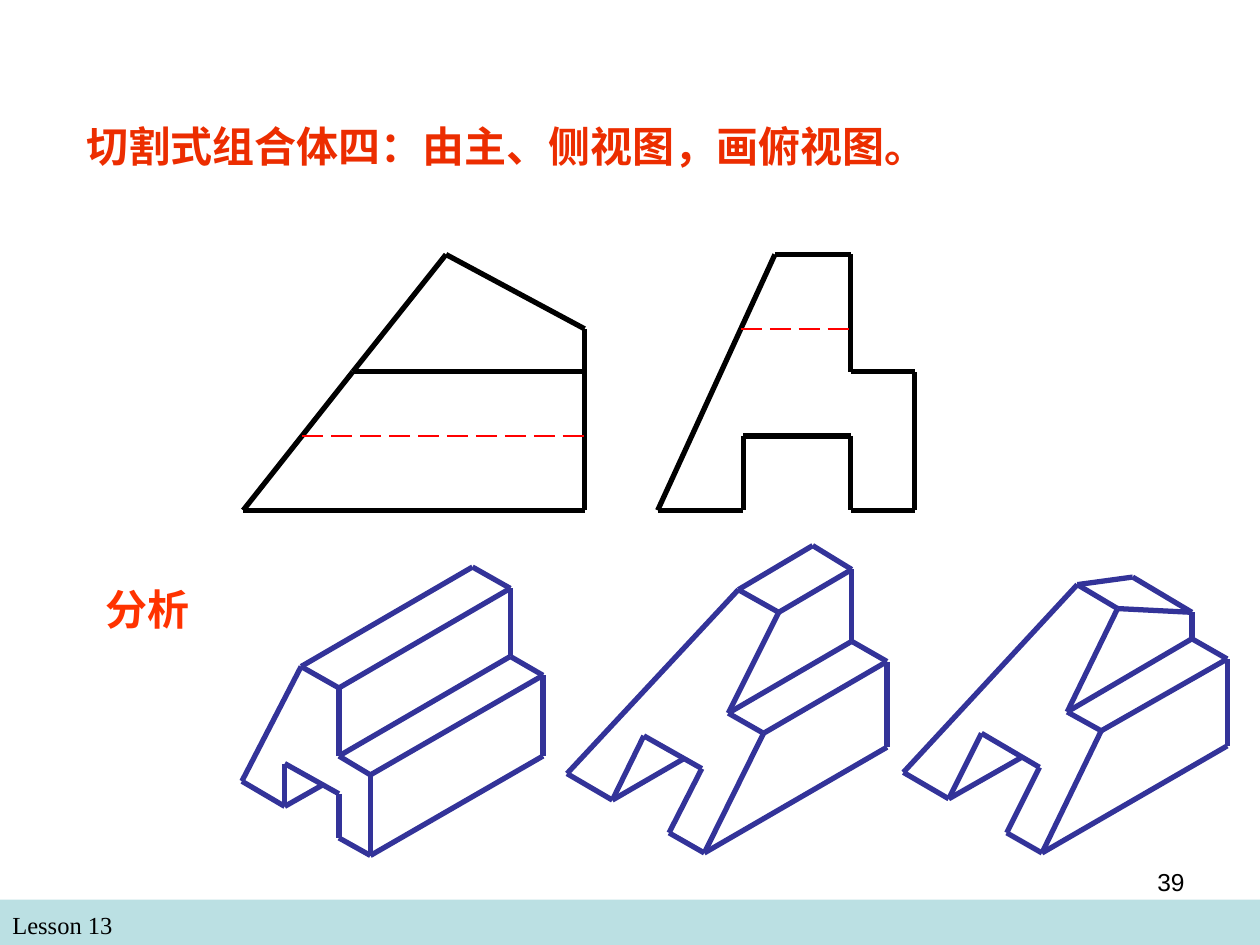
import pptx
import pptx.util
import pptx.dml.color
import pptx.enum.dml
import pptx.enum.shapes
import pptx.enum.text
import pptx.oxml

ALIGN = pptx.enum.text.PP_ALIGN
EMU_PER_PX = 9144  # 100 px to the inch


def px(length):
    return pptx.util.Emu(length * EMU_PER_PX)


def rgb(hex_color):
    return pptx.dml.color.RGBColor.from_string(hex_color)


def write_text(frame, text, size=14, font="Times New Roman", color="000000",
               bold=False, align=ALIGN.LEFT):
    paragraph = frame.paragraphs[0]
    paragraph.alignment = align
    run = paragraph.add_run()
    run.text = text
    run.font.size = pptx.util.Pt(size)
    run.font.name = font
    run.font.bold = bold
    run.font.color.rgb = rgb(color)


class Sheet:
    """Holds the drawing style and the current slide."""
    outline, hidden, solid_body = "000000", "FF0000", "333399"
    footer_fill = "BBE0E3"
    thick, thin = 3, 1.5

    def __init__(self, slide):
        self.slide = slide

    def band(self, left, top, width, height):
        band = self.slide.shapes.add_shape(
            pptx.enum.shapes.MSO_SHAPE.RECTANGLE,
            px(left), px(top), px(width), px(height))
        band.shadow.inherit = False
        band.fill.solid()
        band.fill.fore_color.rgb = rgb(self.footer_fill)
        band.line.fill.background()

    def text(self, left, top, width, height, text, **style):
        box = self.slide.shapes.add_textbox(px(left), px(top), px(width), px(height))
        box.text_frame.word_wrap = True
        write_text(box.text_frame, text, **style)

    def edge(self, group, start, end, color, width, dashed=False):
        edge = group.shapes.add_connector(
            pptx.enum.shapes.MSO_CONNECTOR.STRAIGHT,
            px(start[0]), px(start[1]), px(end[0]), px(end[1]))
        edge.line.color.rgb = rgb(color)
        edge.line.width = pptx.util.Pt(width)
        if dashed:
            edge.line.dash_style = pptx.enum.dml.MSO_LINE.LONG_DASH
        edge._element.spPr.append(pptx.oxml.parse_xml(
            '<a:effectLst xmlns:a="http://schemas.openxmlformats.org/drawingml/2006/main"/>'))

    def wireframe(self, group, points, chains, color):
        """Joins lettered points along each chain of letters."""
        vertex = dict(zip("ABCDEFGHIJKLMNOP", points))
        for chain in chains.split():
            for start, end in zip(chain, chain[1:]):
                self.edge(group, vertex[start], vertex[end], color, self.thick)

    def hidden_edge(self, group, start, end):
        self.edge(group, start, end, self.hidden, self.thin, dashed=True)


# Orthographic views
FRONT_VIEW = [(193, 405), (464, 405), (464, 295), (464, 261), (354, 202), (280, 295)]
SIDE_VIEW = [(522, 405), (590, 405), (590, 346), (675, 346), (675, 405),
             (726, 405), (726, 295), (675, 295), (675, 202), (615, 202)]

# The cutting stages share one set of edges: end face, top, right side, step, groove
BODY_EDGES = "ABCDEFGHIJA JKLI LMNOF HM GN BP"
CUTTING_STAGES = [
    # Extruded profile
    [(192, 620), (226, 640), (226, 606), (269, 630), (269, 665), (294, 679),
     (294, 615), (269, 600), (269, 546), (239, 529), (375, 450), (405, 467),
     (405, 521), (431, 536), (431, 600), (256, 623)],
    # End cut at a slant
    [(450, 614), (486, 635), (511, 584), (557, 610), (531, 661), (559, 677),
     (606, 582), (578, 566), (618, 486), (586, 468), (645, 433), (676, 452),
     (676, 509), (704, 525), (704, 593), (543, 602)],
    # Top cut at a slant
    [(717, 613), (753, 634), (779, 582), (825, 609), (799, 661), (827, 677),
     (874, 580), (847, 565), (887, 483), (855, 464), (899, 458), (946, 486),
     (946, 507), (974, 523), (974, 592), (811, 601)],
]


def main():
    deck = pptx.Presentation()
    deck.slide_width, deck.slide_height = px(1000), px(750)
    sheet = Sheet(deck.slides.add_slide(deck.slide_layouts[6]))
    shapes = sheet.slide.shapes

    # Footer
    sheet.band(0, 714, 1000, 36)
    sheet.text(0, 717, 483, 34, "Lesson 13")

    # Given views
    views = shapes.add_group_shape()
    sheet.wireframe(views, FRONT_VIEW, "ABCDEFA FC", sheet.outline)
    sheet.wireframe(views, SIDE_VIEW, "ABCDEFGHIJA", sheet.outline)
    sheet.hidden_edge(views, (240, 346), (464, 346))
    sheet.hidden_edge(views, (588, 261), (675, 261))

    # Analysis of the body
    for stage in CUTTING_STAGES:
        sheet.wireframe(shapes.add_group_shape(), stage, BODY_EDGES, sheet.solid_body)

    # Headings and page number
    sheet.text(59, 91, 701, 50, "切割式组合体四：由主、侧视图，画俯视图。",
               size=24, color="EC2D00", bold=True)
    sheet.text(42, 458, 150, 50, "分析", size=24, color="FF3300", bold=True,
               align=ALIGN.CENTER)
    sheet.text(717, 683, 233, 52, "39", font="Arial", align=ALIGN.RIGHT)

    deck.save("out.pptx")


if __name__ == "__main__":
    main()
